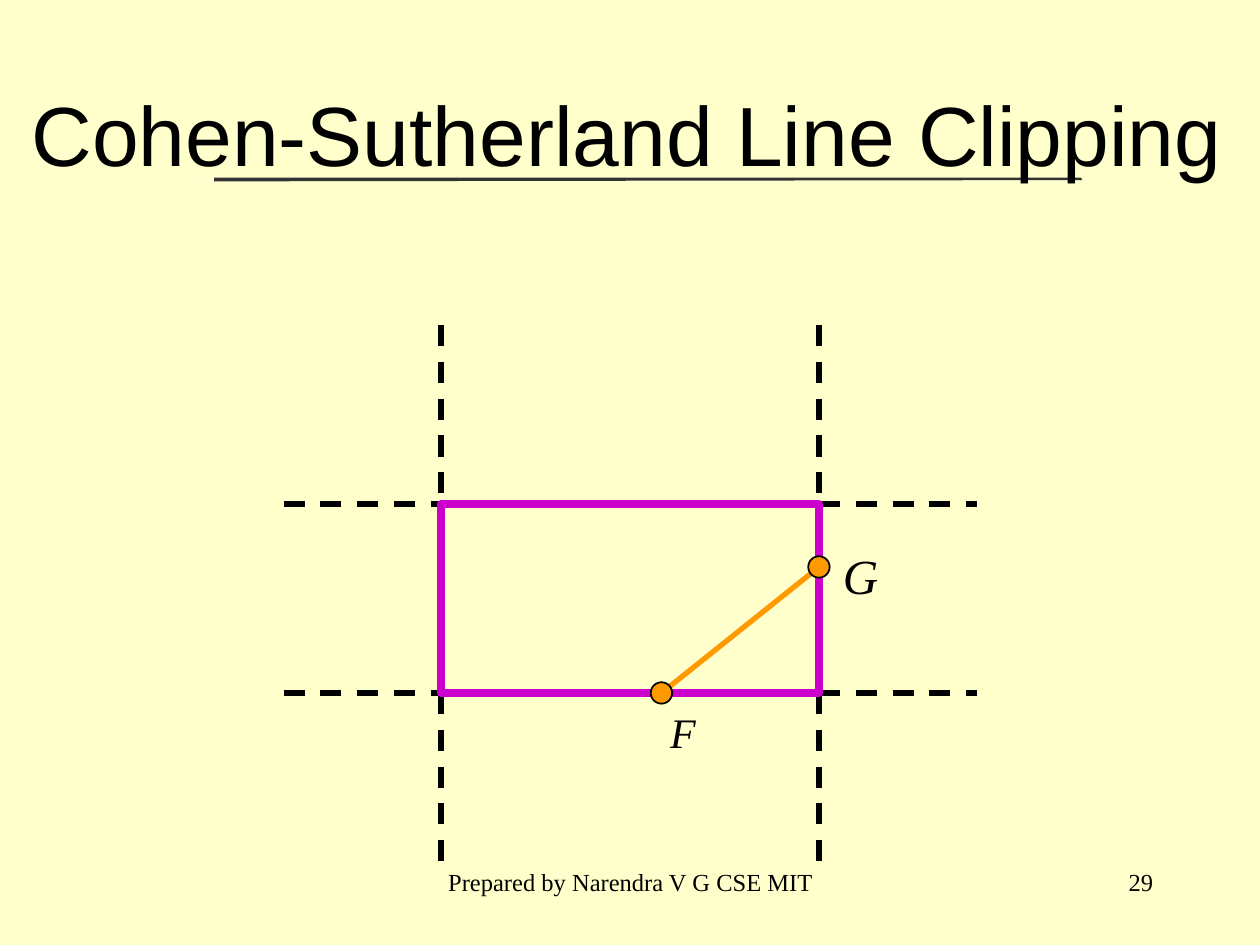
from dataclasses import dataclass

from lxml import etree
from pptx import Presentation
from pptx.dml.color import RGBColor
from pptx.enum.dml import MSO_LINE
from pptx.enum.shapes import MSO_CONNECTOR, MSO_SHAPE
from pptx.enum.text import MSO_ANCHOR, PP_ALIGN
from pptx.oxml.ns import qn
from pptx.util import Inches, Pt

LINE, DASH = MSO_CONNECTOR.STRAIGHT, MSO_LINE.DASH
RECT, OVAL = MSO_SHAPE.RECTANGLE, MSO_SHAPE.OVAL
LEFT, MID, RIGHT = PP_ALIGN.LEFT, PP_ALIGN.CENTER, PP_ALIGN.RIGHT
TOP, MIDDLE = MSO_ANCHOR.TOP, MSO_ANCHOR.MIDDLE


@dataclass(frozen=True)
class Theme:
    paper: str = "FFFFCC"
    glow: str = "FFFFCE"
    ink: str = "000000"
    rule: str = "333333"
    frame: str = "CC00CC"
    mark: str = "FF9900"
    head: str = "Arial"
    body: str = "Times New Roman"
    title: int = 48
    big: int = 28
    label: int = 24
    foot: int = 14


def rgb(code):
    return RGBColor.from_string(code)


class Board:
    """Holds the theme and the current slide."""

    def __init__(self, slide, theme):
        self.slide, self.theme = slide, theme
        fill = slide.background.fill
        fill.solid()
        fill.fore_color.rgb = rgb(theme.paper)

    def style(self, shape, fill=None, line=None, width=1):
        shape.shadow.inherit = False
        if fill:
            shape.fill.solid()
            shape.fill.fore_color.rgb = rgb(fill)
        else:
            shape.fill.background()
        if line:
            shape.line.color.rgb = rgb(line)
            shape.line.width = Pt(width)
        else:
            shape.line.fill.background()
        return shape

    def shape(self, kind, x, y, w, h, **look):
        item = self.slide.shapes.add_shape(
            kind, Inches(x), Inches(y), Inches(w), Inches(h))
        return self.style(item, **look)

    def band(self, x, y, w, h):
        fill = self.shape(RECT, x, y, w, h).fill
        fill.gradient()
        fill.gradient_angle = 0
        for stop, code in zip(fill.gradient_stops,
                              (self.theme.glow, self.theme.paper)):
            stop.color.rgb = rgb(code)

    def outline(self, points, fill):
        spots = [(Inches(x), Inches(y)) for x, y in points]
        form = self.slide.shapes.build_freeform(*spots[0], scale=1.0)
        form.add_line_segments(spots[1:], close=True)
        self.style(form.convert_to_shape(), fill=fill)

    def line(self, start, end, color, dash=None):
        item = self.slide.shapes.add_connector(
            LINE, *(Inches(v) for v in (*start, *end)))
        item.line.color.rgb = rgb(color)
        item.line.width = Pt(3)
        if dash:
            item.line.dash_style = dash
        etree.SubElement(item.element.spPr, qn("a:effectLst"))

    def dot(self, x, y, size=0.17):
        self.shape(OVAL, x - size / 2, y - size / 2, size, size,
                   fill=self.theme.mark, line=self.theme.ink)

    def put(self, box, text, size, font, align, anchor=TOP,
            wrap=True, italic=False):
        frame = box.text_frame
        frame.word_wrap = wrap
        frame.vertical_anchor = anchor
        para = frame.paragraphs[0]
        para.text = text
        para.alignment = align
        para.font.size = Pt(size)
        para.font.name = font
        para.font.italic = italic
        para.font.color.rgb = rgb(self.theme.ink)

    def text(self, x, y, w, h, text, size, align=LEFT, **look):
        box = self.slide.shapes.add_textbox(
            Inches(x), Inches(y), Inches(w), Inches(h))
        self.put(box, text, size, self.theme.body, align, **look)

    def title(self, x, y, w, h, text):
        box = self.slide.shapes.title
        box.left, box.top = Inches(x), Inches(y)
        box.width, box.height = Inches(w), Inches(h)
        self.put(box, text, self.theme.title, self.theme.head, RIGHT, MIDDLE)
        # Bring the title in front of its underline
        box.element.getparent().append(box.element)


def main():
    deck = Presentation()
    deck.slide_width, deck.slide_height = Inches(10), Inches(7.5)
    theme = Theme()
    board = Board(deck.slides.add_slide(deck.slide_layouts[5]), theme)

    # Title and its tapered underline
    board.band(1.47, 1.37, 7.18, 0.11)
    board.outline([(1.7, 1.41), (8.58, 1.41), (8.59, 1.43), (1.7, 1.44)],
                  theme.rule)
    board.title(0.08, 0.43, 9.72, 1.25, "Cohen-Sutherland Line Clipping")

    # Dashed extensions of the clip window's edges
    left, top, right, low = 3.5, 4, 6.5, 5.5
    for x in (left, right):
        for start, end in ((2.58, top), (low, 6.91)):
            board.line((x, start), (x, end), theme.ink, DASH)
    for y in (top, low):
        for start, end in ((2.25, left), (right, 7.75)):
            board.line((start, y), (end, y), theme.ink, DASH)

    # Point labels
    board.text(6.59, 4.28, 0.48, 0.57, "G", theme.big, wrap=False, italic=True)
    board.text(5.22, 5.56, 0.4, 0.5, "F", theme.label, wrap=False, italic=True)

    # Clip window and clipped segment
    board.shape(RECT, left, top, right - left, low - top,
                line=theme.frame, width=4.5)
    ends = ((right, 4.5), (5.25, low))
    board.line(*ends, theme.mark)
    for spot in ends:
        board.dot(*spot)

    # Footer
    board.text(7.17, 6.83, 2.08, 0.5, "29", theme.foot, RIGHT)
    board.text(3.42, 6.83, 3.17, 0.5, "Prepared by Narendra V G CSE MIT",
               theme.foot, MID)

    deck.save("out.pptx")


if __name__ == "__main__":
    main()
